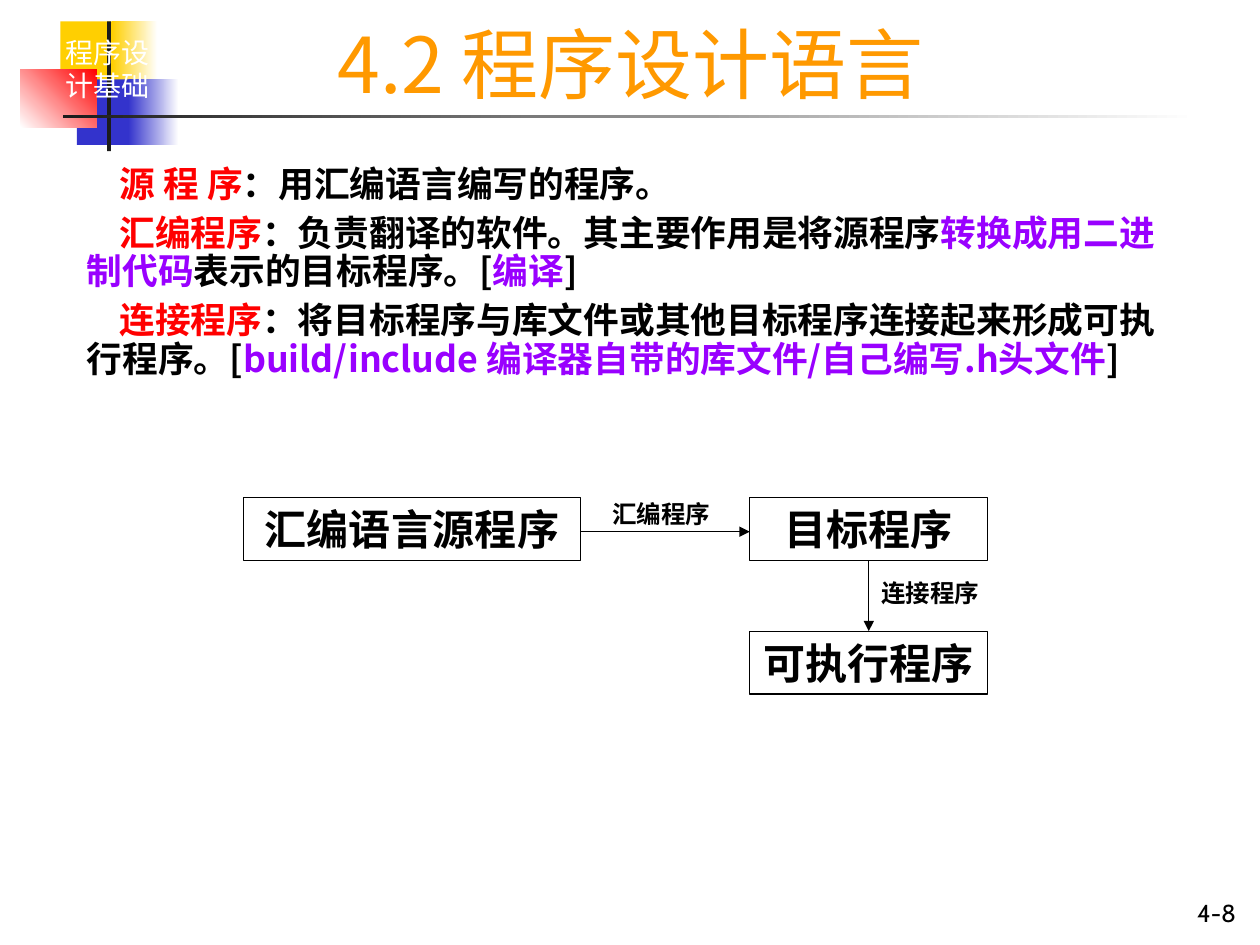
from dataclasses import dataclass

from lxml.etree import SubElement
from pptx import Presentation
from pptx.dml.color import RGBColor as RGB
from pptx.enum.shapes import MSO_CONNECTOR as Conn, MSO_SHAPE as Shape
from pptx.enum.text import MSO_ANCHOR as Anchor, PP_ALIGN as Align
from pptx.oxml.ns import qn
from pptx.util import Inches, Pt


@dataclass(frozen=True)
class Theme:
    black: str = "000000"
    white: str = "FFFFFF"
    dark: str = "1C1C1C"
    gold: str = "FFCF01"
    blue: str = "3333CC"
    red: str = "FF0000"
    violet: str = "9900FF"
    orange: str = "FF9900"
    latin: str = "Cabin"
    hans: str = "Noto Sans CJK SC"
    title: float = 44
    node: float = 24
    body: float = 20.4
    badge: float = 16
    small: float = 14


T = Theme()


def style(run, size, color=T.black, font=T.latin, bold=False):
    run.font.size, run.font.bold, run.font.name = Pt(size), bold, font
    run.font.color.rgb = RGB.from_string(color)
    SubElement(run.font._element, qn("a:ea"), typeface=T.hans)


def write(frame, text, size, align=Align.LEFT, before=0, anchor=Anchor.TOP, **look):
    frame.word_wrap = True
    frame.vertical_anchor = anchor
    frame.text = text
    para = frame.paragraphs[0]
    para.alignment, para.space_before = align, Pt(before)
    style(para.runs[0], size, **look)


def label(slide, box, text, size, **look):
    frame = slide.shapes.add_textbox(*map(Inches, box)).text_frame
    write(frame, text, size, **look)
    return frame


def block(slide, box, start=None, end=None, angle=0):
    """Rectangle without outline: unfilled, solid, or fading from start to end."""
    rect = slide.shapes.add_shape(Shape.RECTANGLE, *map(Inches, box))
    rect.shadow.inherit = False
    rect.line.fill.background()
    if end:
        rect.fill.gradient()
        rect.fill.gradient_angle = angle
        for stop, color in zip(rect.fill.gradient_stops, (start, end)):
            stop.color.rgb = RGB.from_string(color)
    elif start:
        rect.fill.solid()
        rect.fill.fore_color.rgb = RGB.from_string(start)
    else:
        rect.fill.background()
    return rect


def emblem(slide, box):
    x, y, wide, high = box
    tall = 0.52
    block(slide, (x + 0.32, y, 0.48, tall), T.gold)
    block(slide, (x + 0.73, y, 0.36, tall), T.gold, T.white)
    block(slide, (x + 0.45, y + 0.46, 0.46, tall), T.blue)
    block(slide, (x + 0.86, y + 0.46, 0.4, tall), T.blue, T.white)
    block(slide, (x, y + 0.38, 0.61, 0.46), T.white, T.red, 45)
    block(slide, (x + 0.69, y, 0.03, high), T.dark)
    block(slide, (x + 0.34, y + 0.74, wide, 0.03), T.dark, T.white)
    frame = label(slide, (x + 0.25, y + 0.04, 0.89, 0.66), "程序设计基础", T.badge,
                  align=Align.CENTER, before=4, color=T.white)
    frame.margin_top = Inches(0.07)


def body(slide, box, paras):
    """Paragraphs of (text, colour) runs with an indented first line."""
    frame = slide.shapes.add_textbox(*map(Inches, box)).text_frame
    frame.word_wrap = True
    for i, parts in enumerate(paras):
        para = frame.add_paragraph() if i else frame.paragraphs[0]
        para.line_spacing, para.space_before = 0.9, Pt(6)
        para._p.get_or_add_pPr().set("indent", str(Inches(0.26)))
        for text, color in parts:
            run = para.add_run()
            run.text = text
            style(run, T.body, color, T.hans, True)


def node(slide, box, text):
    rect = block(slide, box)
    rect.line.color.rgb = RGB.from_string(T.black)
    rect.line.width = Pt(0.75)
    write(rect.text_frame, text, T.node, align=Align.CENTER, before=15, bold=True)


def arrow(slide, *ends):
    line = slide.shapes.add_connector(Conn.STRAIGHT, *map(Inches, ends))
    line.line.color.rgb = RGB.from_string(T.black)
    line.line.width = Pt(0.75)
    SubElement(line.line._get_or_add_ln(), qn("a:tailEnd"), type="triangle")
    SubElement(line._element.spPr, qn("a:effectLst"))


def flow(slide, box):
    x, y, wide, high = box
    tall, first, last = 0.5, 2.68, 1.89
    right, low = x + wide - last, y + high - tall
    mid = right + last / 2
    node(slide, (x, y, first, tall), "汇编语言源程序")
    node(slide, (right, y, last, tall), "目标程序")
    node(slide, (right, low, last, tall), "可执行程序")
    arrow(slide, x + first, y + 0.27, right, y + 0.27)
    arrow(slide, mid, y + tall, mid, low)
    for left, top, text in ((x + first + 0.15, y - 0.04, "汇编程序"),
                            (mid, y + tall + 0.09, "连接程序")):
        label(slide, (left, top, 1.02, 0.34), text, T.small, before=8.8, bold=True)


def main():
    deck = Presentation()
    deck.slide_width, deck.slide_height = Inches(10), Inches(7.5)
    slide = deck.slides.add_slide(deck.slide_layouts[6])
    emblem(slide, (0.16, 0.17, 9, 1.03))
    label(slide, (8.7, 7.08, 1.21, 0.33), "4-8", T.small,
          align=Align.RIGHT, anchor=Anchor.BOTTOM)
    body(slide, (0.59, 1.27, 8.82, 2.4), [
        [("源 程 序", T.red), ("：用汇编语言编写的程序。", T.black)],
        [("汇编程序", T.red),
         ("：负责翻译的软件。其主要作用是将源程序", T.black),
         ("转换成用二进制代码", T.violet),
         ("表示的目标程序。[", T.black), ("编译", T.violet), ("]", T.black)],
        [("连接程序", T.red),
         ("：将目标程序与库文件或其他目标程序连接起来形成可执行程序。[", T.black),
         ("build/include 编译器自带的库文件/自己编写.h头文件", T.violet),
         ("]", T.black)],
    ])
    flow(slide, (1.93, 3.95, 5.91, 1.56))
    label(slide, (1.46, 0.08, 7.09, 0.83), "4.2 程序设计语言", T.title,
          align=Align.CENTER, anchor=Anchor.BOTTOM, color=T.orange, font=T.hans)
    deck.save("out.pptx")


if __name__ == "__main__":
    main()
